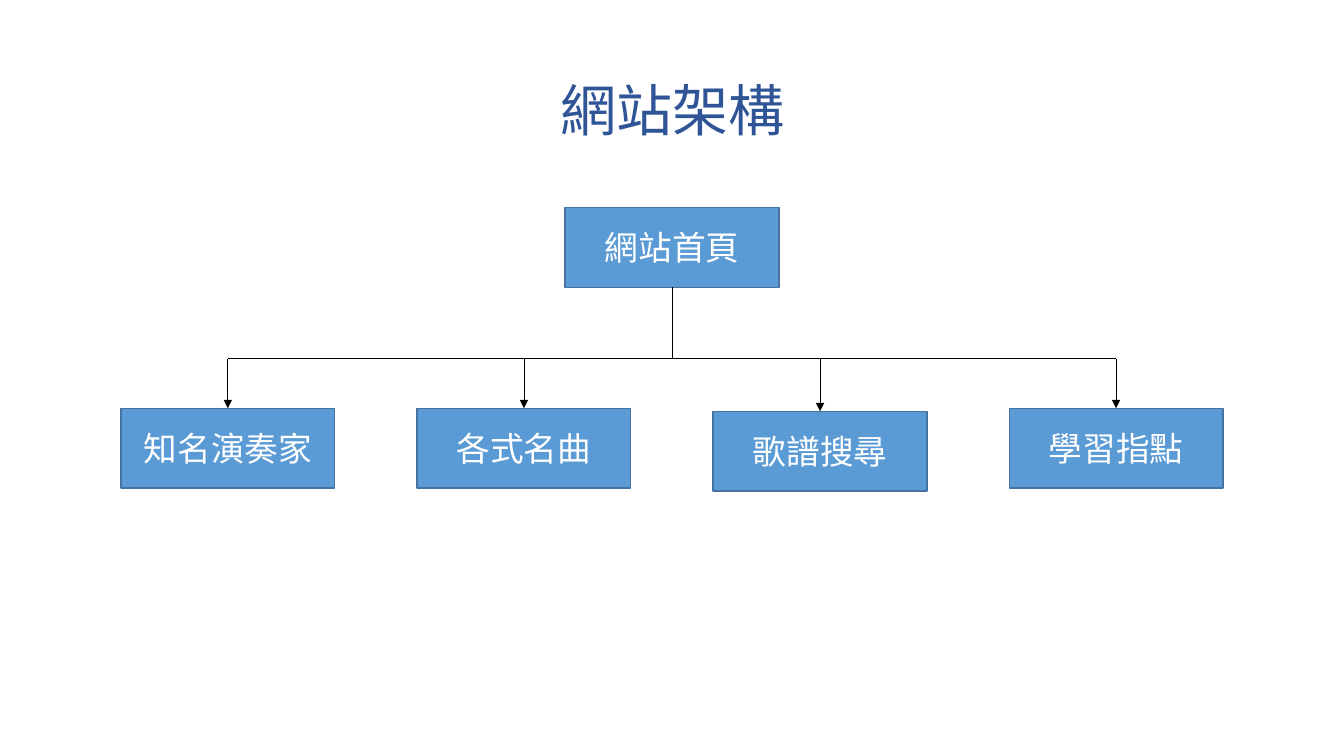
from lxml import etree
from pptx import Presentation
from pptx import util as u
from pptx.dml.color import RGBColor
from pptx.enum import shapes, text
from pptx.oxml.ns import qn

FONT = "Noto Sans CJK SC"
BOX_WIDTH, BOX_HEIGHT = 2.12, 0.79
BRANCHES = [("知名演奏家", 0), ("各式名曲", 0), ("歌譜搜尋", 0.03), ("學習指點", 0)]


def color(value):
    """Turn a hex string into a colour."""
    return RGBColor.from_string(value)


def write(shape, words, size, ink, spacing=1.0):
    """Write one centred line of text into a shape."""
    frame = shape.text_frame
    for name, value in {"word_wrap": True, "vertical_anchor": text.MSO_ANCHOR.MIDDLE}.items():
        setattr(frame, name, value)
    para = frame.paragraphs[0]
    for name, value in {"alignment": text.PP_ALIGN.CENTER, "line_spacing": spacing}.items():
        setattr(para, name, value)
    span = para.add_run()
    span.text = words
    for name, value in {"name": FONT, "size": u.Pt(size)}.items():
        setattr(span.font, name, value)
    span.font.color.rgb = color(ink)
    etree.SubElement(span.font._element, qn("a:ea"), typeface=FONT)


def add_title(page, left, top, width, height):
    """Place the slide title in the given box."""
    box = page.shapes.add_textbox(*map(u.Inches, (left, top, width, height)))
    write(box, "網站架構", 40, "2F5597", 0.9)


def add_node(page, words, left, top):
    """Place one labelled rectangle of the site map."""
    node = page.shapes.add_shape(
        shapes.MSO_SHAPE.RECTANGLE, *map(u.Inches, (left, top, BOX_WIDTH, BOX_HEIGHT)))
    node.shadow.inherit = False
    node.fill.solid()
    node.fill.fore_color.rgb = color("5B9BD5")
    node.line.color.rgb = color("43739E")
    node.line.width = u.Pt(1)
    write(node, words, 24, "FFFFFF")
    return node


def add_line(page, start, end, arrow=False):
    """Draw a thin black line, with an arrowhead at its end if asked."""
    line = page.shapes.add_connector(
        shapes.MSO_CONNECTOR.STRAIGHT, *map(u.Inches, (*start, *end)))
    line.line.color.rgb = color("000000")
    line.line.width = u.Pt(0.5)
    if arrow:
        etree.SubElement(line.line._get_or_add_ln(), qn("a:tailEnd"), type="triangle")
    etree.SubElement(line._element.spPr, qn("a:effectLst"))
    return line


def add_site_map(page, left, top, width):
    """Place the home page, its branches and the lines between them."""
    middle = left + width / 2
    bus = top + 1.5
    branch_top = top + 1.99
    step = (width - BOX_WIDTH) / (len(BRANCHES) - 1)
    home = add_node(page, "網站首頁", middle - BOX_WIDTH / 2, top)
    trunk = add_line(page, (middle, top + BOX_HEIGHT), (middle, bus))
    trunk.begin_connect(home, 2)
    for end in (left + BOX_WIDTH / 2, left + width - BOX_WIDTH / 2):
        add_line(page, (middle, bus), (end, bus))
    for index, (words, drop) in enumerate(BRANCHES):
        node_left = left + index * step
        center = node_left + BOX_WIDTH / 2
        node = add_node(page, words, node_left, branch_top + drop)
        arrow = add_line(page, (center, bus), (center, branch_top + drop), arrow=True)
        arrow.end_connect(node, 0)


def main():
    """Build the slide and save the deck."""
    deck = Presentation()
    deck.slide_width, deck.slide_height = u.Inches(13.33), u.Inches(7.5)
    page = deck.slides.add_slide(deck.slide_layouts[6])
    add_title(page, 0.92, 0.4, 11.5, 1.45)
    add_site_map(page, 1.2, 2.06, 10.93)
    deck.save("out.pptx")


if __name__ == "__main__":
    main()
